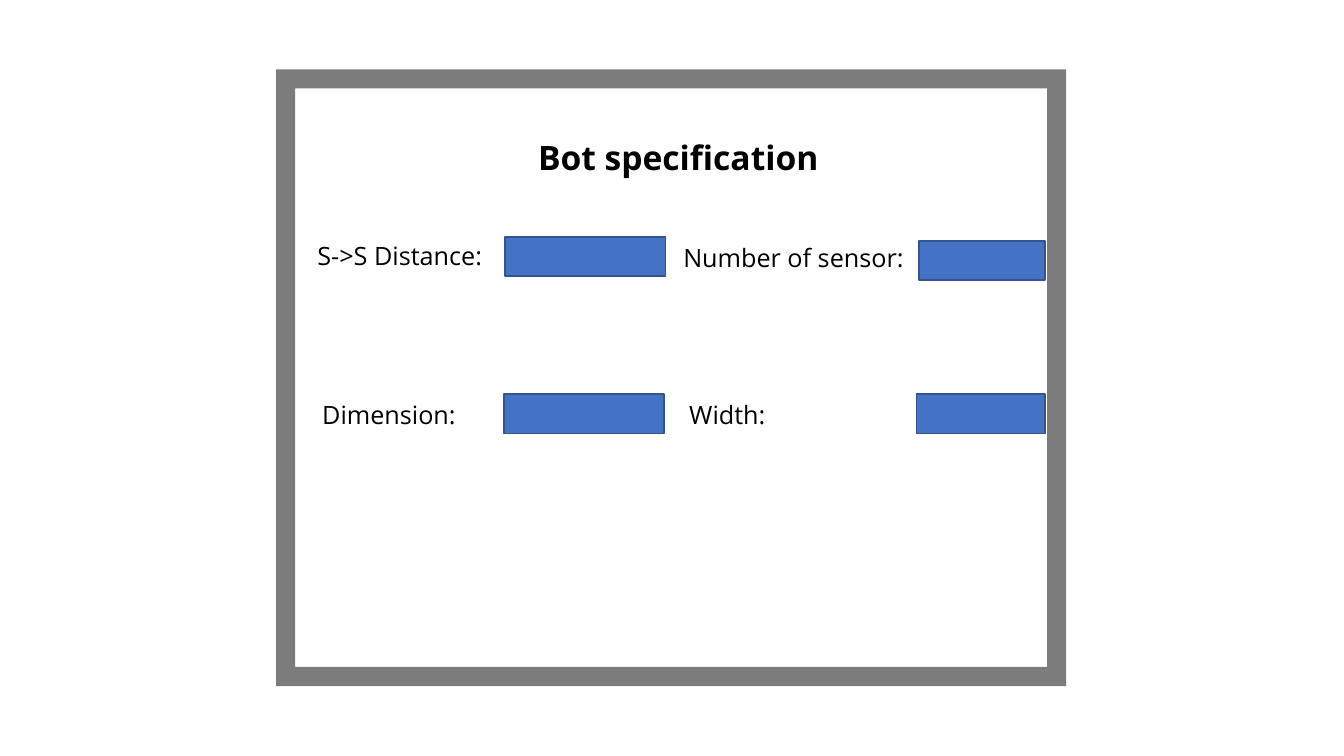
from pptx import Presentation
from pptx import util as u
from pptx.dml.color import RGBColor
from pptx.enum import shapes, text

COLOURS = {"frame": "7C7C7C", "field": "4472C4", "edge": "325491", "ink": "000000"}
FONT = "Open Sans"
LABEL_HEIGHT = 1.02
FIELD_HEIGHT = 0.99

# Label, its left, top and width, then its field's left, top and width, in cm
SPECIFICATIONS = [
    ("S->S Distance:", (7.75, 5.94, 6.3), (12.73, 5.97, 4.04)),
    ("Number of sensor:", (16.97, 5.97, 7.62), (23.16, 6.07, 3.18)),
    ("Dimension:", (7.87, 9.93, 7.62), (12.7, 9.93, 4.04)),
    ("Width:", (17.12, 9.93, 7.62), (23.09, 9.93, 3.25)),
]


def colour(name):
    return RGBColor.from_string(COLOURS[name])


def add_label(page, wording, left, top, width, height=LABEL_HEIGHT, size=18, bold=False):
    box = page.shapes.add_textbox(u.Cm(left), u.Cm(top), u.Cm(width), u.Cm(height))
    box.text_frame.word_wrap = True
    box.text_frame.auto_size = text.MSO_AUTO_SIZE.SHAPE_TO_FIT_TEXT
    para = box.text_frame.paragraphs[0]
    span = para.add_run()
    span.text = wording
    span.font.name = FONT
    span.font.size = u.Pt(size)
    span.font.bold = bold
    span.font.color.rgb = colour("ink")


def add_block(page, kind, fill, left, top, width, height, edge=None):
    block = page.shapes.add_shape(kind, u.Cm(left), u.Cm(top), u.Cm(width), u.Cm(height))
    block.shadow.inherit = False
    block.fill.solid()
    block.fill.fore_color.rgb = colour(fill)
    if edge:
        block.line.color.rgb = colour(edge)
        block.line.width = u.Pt(1)
    else:
        block.line.fill.background()
    return block


def main():
    deck = Presentation()
    deck.slide_width, deck.slide_height = u.Cm(33.87), u.Cm(19.05)
    page = deck.slides.add_slide(deck.slide_layouts[6])

    # Screen frame and title
    frame = add_block(page, shapes.MSO_SHAPE.FRAME, "frame", 6.96, 1.75, 19.91, 15.54)
    frame.adjustments[0] = 0.031
    add_label(page, "Bot specification", 13.31, 3.33, 7.62, 1.27, size=24, bold=True)

    # Labels with their input fields
    for wording, label, field in SPECIFICATIONS:
        add_label(page, wording, *label)
        add_block(page, shapes.MSO_SHAPE.RECTANGLE, "field", *field, FIELD_HEIGHT, edge="edge")

    deck.save("out.pptx")


main()
